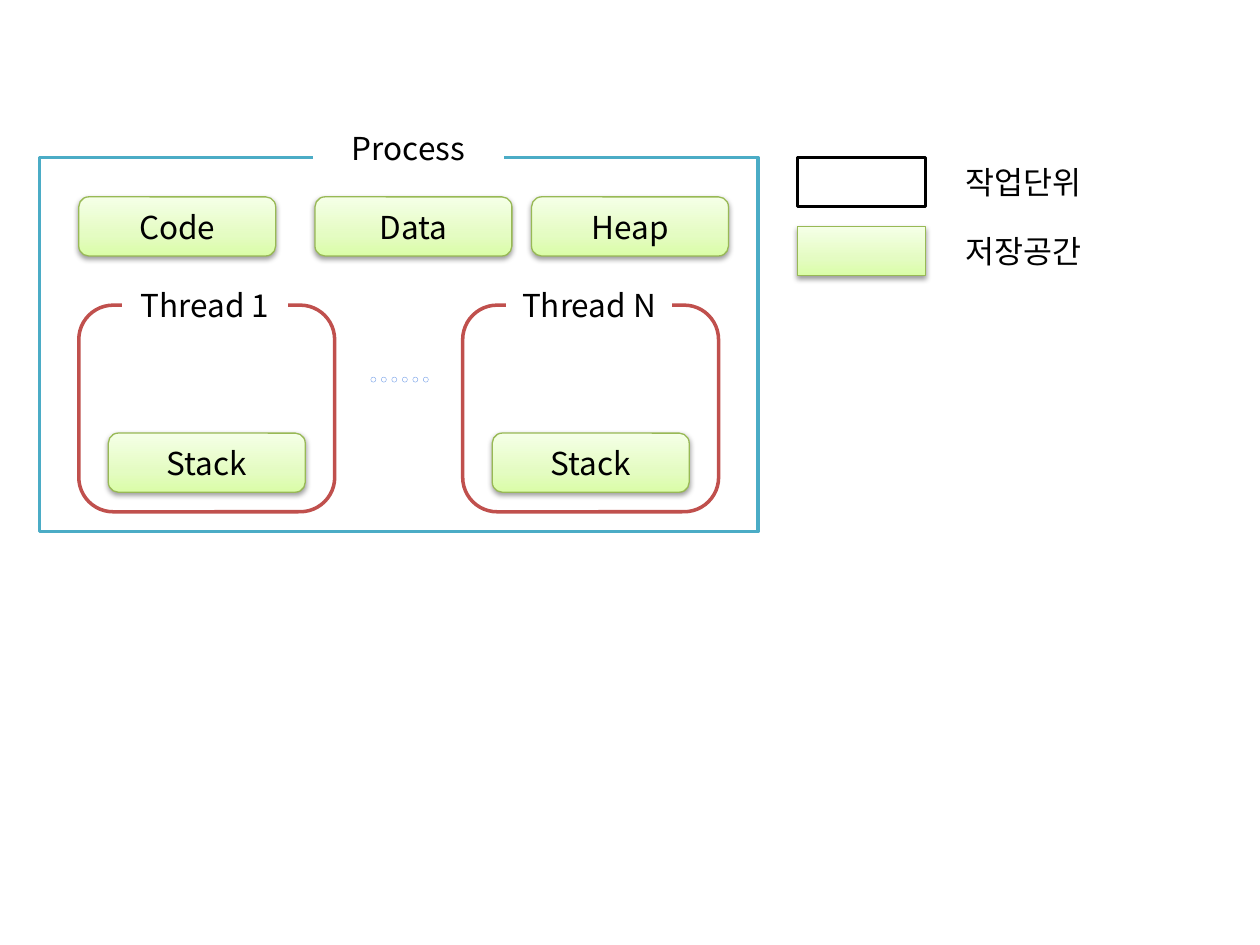
from copy import deepcopy

from lxml.etree import SubElement
from pptx import Presentation
from pptx.dml.color import RGBColor
from pptx.enum.shapes import MSO_SHAPE
from pptx.enum.text import MSO_ANCHOR, PP_ALIGN
from pptx.oxml.ns import qn
from pptx.util import Pt

COLORS = {
    "white": "FFFFFF", "black": "000000", "process": "4BACC6",
    "thread": "C0504D", "storage_line": "98B955", "dots": "7EA6EA",
}
STORAGE_STOPS = [(0, "DAFDA7"), (0.35, "E4FCC2"), (1, "F5FFE7")]
FONT = "Noto Sans CJK KR"


def rgb(name):
    return RGBColor.from_string(COLORS[name])


def add_color(parent, color, alpha=None):
    node = SubElement(parent, qn("a:srgbClr"), val=COLORS[color])
    if alpha is not None:
        SubElement(node, qn("a:alpha"), val=str(alpha * 1000))


def write_text(frame, text, size=18, color="black", bold=False, outline=None, wrap=True):
    frame.word_wrap = wrap
    frame.vertical_anchor = MSO_ANCHOR.MIDDLE
    paragraph = frame.paragraphs[0]
    paragraph.alignment = PP_ALIGN.CENTER
    run = paragraph.add_run()
    run.text = text
    font = run.font
    font.name, font.size, font.bold = FONT, Pt(size), bold
    font.color.rgb = rgb(color)
    properties = run._r.get_or_add_rPr()
    SubElement(properties, qn("a:ea"), typeface=FONT)
    if outline:
        line = SubElement(properties, qn("a:ln"), w=str(Pt(2.48)))
        add_color(SubElement(line, qn("a:solidFill")), outline)
        properties.insert(0, line)


class Diagram:
    def __init__(self, slide):
        self.slide = slide

    def box(self, x, y, w, h, line, weight=2, rounded=False, text=None):
        kind = MSO_SHAPE.ROUNDED_RECTANGLE if rounded else MSO_SHAPE.RECTANGLE
        shape = self.slide.shapes.add_shape(kind, Pt(x), Pt(y), Pt(w), Pt(h))
        shape.shadow.inherit = False
        shape.fill.solid()
        shape.fill.fore_color.rgb = rgb("white")
        shape.line.color.rgb = rgb(line)
        shape.line.width = Pt(weight)
        if text:
            write_text(shape.text_frame, text)
        return shape

    def storage(self, x, y, w=112.5, h=33.75, rounded=True, text=None):
        shape = self.box(x, y, w, h, "storage_line", 0.75, rounded, text)
        # Three-stop gradient, darkest at the bottom
        shape.fill.gradient()
        shape.fill.gradient_angle = 90
        properties = shape._element.spPr
        stop_list = properties.find(".//" + qn("a:gsLst"))
        stop_list.append(deepcopy(stop_list[-1]))
        for stop, (position, color) in zip(shape.fill.gradient_stops, STORAGE_STOPS):
            stop.position = position
            stop.color.rgb = RGBColor.from_string(color)
        # Soft shadow below
        shadow = SubElement(
            properties.find(qn("a:effectLst")), qn("a:outerShdw"),
            blurRad=str(Pt(3.1)), dist=str(Pt(1.6)), dir="5400000", rotWithShape="0")
        add_color(shadow, "black", 38)

    def label(self, text, x, y, w, h=33.75):
        self.box(x, y, w, h, "white", text=text)

    def dots(self, text, x, y, w, h):
        box = self.slide.shapes.add_textbox(Pt(x), Pt(y), Pt(w), Pt(h))
        write_text(box.text_frame, text, color="white", bold=True,
                   outline="dots", wrap=False)


presentation = Presentation()
presentation.slide_width, presentation.slide_height = Pt(720), Pt(540)
diagram = Diagram(presentation.slides.add_slide(presentation.slide_layouts[6]))

# Process frame and its shared memory
diagram.box(22.5, 90, 410.6, 213.75, "process")
for name, x in [("Code", 45), ("Data", 180), ("Heap", 303.75)]:
    diagram.storage(x, 112.5, text=name)
diagram.label("Process", 180, 67.5, 106.8)

# Threads, each with its own stack
for name, x in [("Thread 1", 45), ("Thread N", 264.4)]:
    diagram.box(x, 174.4, 146.25, 118.1, "thread", rounded=True)
    diagram.storage(x + 16.9, 247.5, text="Stack")
    diagram.label(name, x + 25.8, 157.5, 92.8)
diagram.dots("……", 200.2, 202.5, 56.2, 28.1)

# Legend
LEGEND_X, LEGEND_W, LEGEND_H = 455.6, 73.4, 28.1
WORK_Y, STORAGE_Y = 90, 129.4
diagram.box(LEGEND_X, WORK_Y, LEGEND_W, LEGEND_H, "black")
diagram.storage(LEGEND_X, STORAGE_Y, LEGEND_W, LEGEND_H, rounded=False)
for name, y in [("작업단위", WORK_Y), ("저장공간", STORAGE_Y)]:
    diagram.label(name, 540, y, 90, LEGEND_H)

presentation.save("out.pptx")
